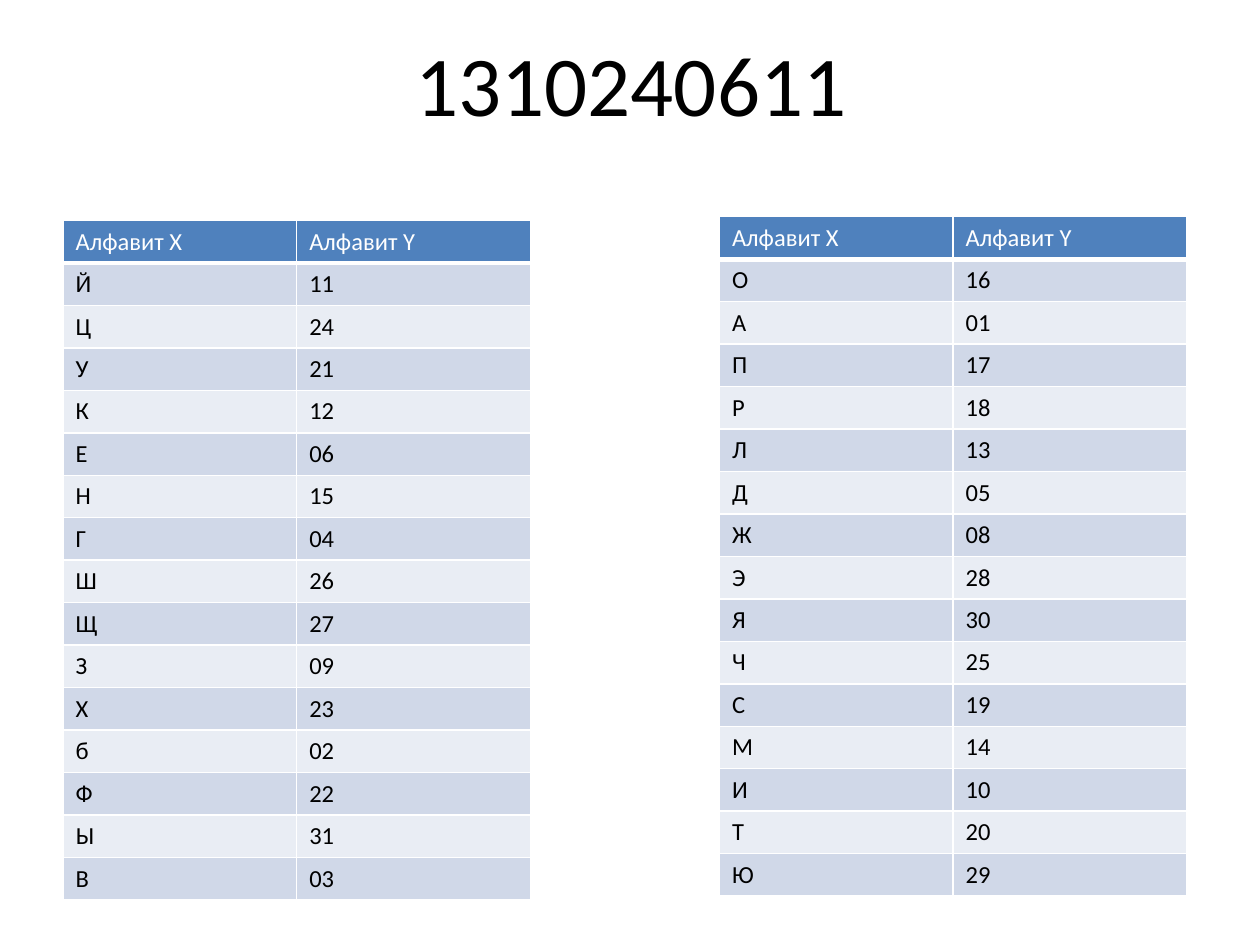
from dataclasses import dataclass

from lxml import etree
from pptx import Presentation
from pptx.dml.color import RGBColor
from pptx.enum.text import MSO_ANCHOR, PP_ALIGN
from pptx.oxml.ns import qn
from pptx.util import Inches, Pt

CENTER = PP_ALIGN.CENTER
MIDDLE = MSO_ANCHOR.MIDDLE
TITLE_ONLY = 5


@dataclass(frozen=True)
class Theme:
    font: str = "Calibri"
    title_size: float = 48.6
    cell_size: float = 14
    ink: str = "000000"
    paper: str = "FFFFFF"
    header: str = "4F81BD"
    bands: tuple = ("D0D8E8", "E9EDF4")
    border: float = 1
    header_rule: float = 3


THEME = Theme()
HEADINGS = ("Алфавит X", "Алфавит Y")
LEFT_LETTERS = "ЙЦУКЕНГШЩЗХбФЫВ"
LEFT_CODES = "11 24 21 12 06 15 04 26 27 09 23 02 22 31 03".split()
RIGHT_LETTERS = "ОАПРЛДЖЭЯЧСМИТЮ"
RIGHT_CODES = "16 01 17 18 13 05 08 28 30 25 19 14 10 20 29".split()


def add_run(paragraph, text, size, color):
    run = paragraph.add_run()
    run.text = text
    run.font.name = THEME.font
    run.font.size = Pt(size)
    run.font.bold = False
    run.font.color.rgb = RGBColor.from_string(color)


def set_borders(cell, bottom):
    """Draw the cell's four edges; call before filling, as the schema puts lines first."""
    properties = cell._tc.get_or_add_tcPr()
    widths = {"L": THEME.border, "R": THEME.border, "T": THEME.border, "B": bottom}
    for side, width in widths.items():
        line = etree.SubElement(properties, qn(f"a:ln{side}"), w=str(Pt(width)))
        fill = etree.SubElement(line, qn("a:solidFill"))
        etree.SubElement(fill, qn("a:srgbClr"), val=THEME.paper)


def add_title(slide, text, left, top, width, height):
    title = slide.shapes.title
    title.left, title.top, title.width, title.height = left, top, width, height
    frame = title.text_frame
    frame.word_wrap = True
    frame.vertical_anchor = MIDDLE
    paragraph = frame.paragraphs[0]
    paragraph.alignment = CENTER
    add_run(paragraph, text, THEME.title_size, THEME.ink)


def add_cipher_table(slide, letters, codes, left, top, width, height):
    rows = [HEADINGS, *zip(letters, codes)]
    table = slide.shapes.add_table(
        len(rows), len(HEADINGS), left, top, width, height).table
    for row_index, row in enumerate(rows):
        is_header = row_index == 0
        fill = THEME.header if is_header else THEME.bands[(row_index - 1) % 2]
        color = THEME.paper if is_header else THEME.ink
        bottom = THEME.header_rule if is_header else THEME.border
        for column_index, text in enumerate(row):
            cell = table.cell(row_index, column_index)
            set_borders(cell, bottom)
            cell.fill.solid()
            cell.fill.fore_color.rgb = RGBColor.from_string(fill)
            add_run(cell.text_frame.paragraphs[0], text, THEME.cell_size, color)


def main():
    presentation = Presentation()
    presentation.slide_width = Inches(10)
    presentation.slide_height = Inches(7.5)
    slide = presentation.slides.add_slide(presentation.slide_layouts[TITLE_ONLY])

    add_title(slide, "1310240611", Inches(0.51), Inches(0.32), Inches(9), Inches(0.67))
    table_size = Inches(3.71), Inches(5.33)
    add_cipher_table(slide, LEFT_LETTERS, LEFT_CODES,
                     Inches(0.5), Inches(1.75), *table_size)
    add_cipher_table(slide, RIGHT_LETTERS, RIGHT_CODES,
                     Inches(5.71), Inches(1.72), *table_size)
    presentation.save("out.pptx")


if __name__ == "__main__":
    main()
